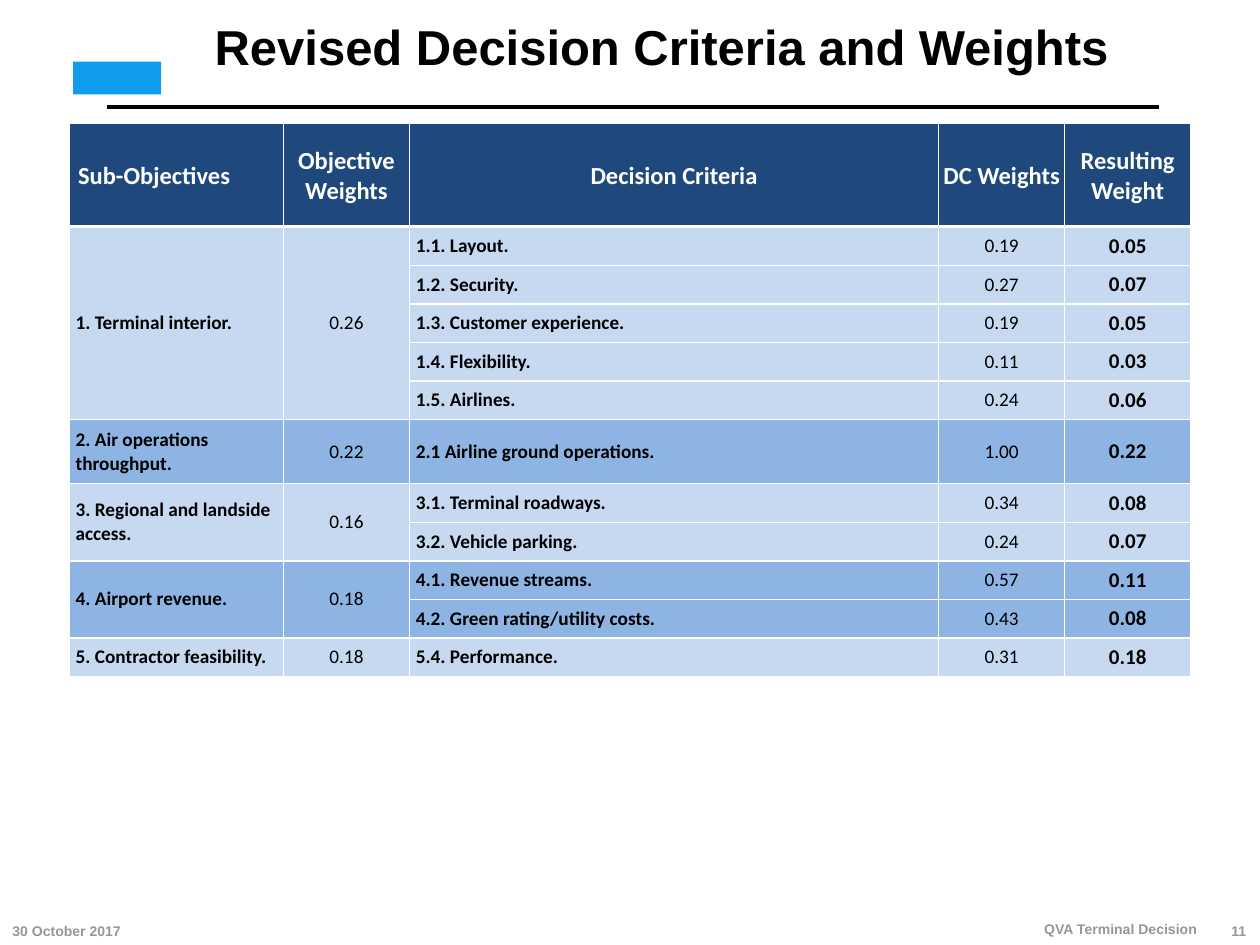
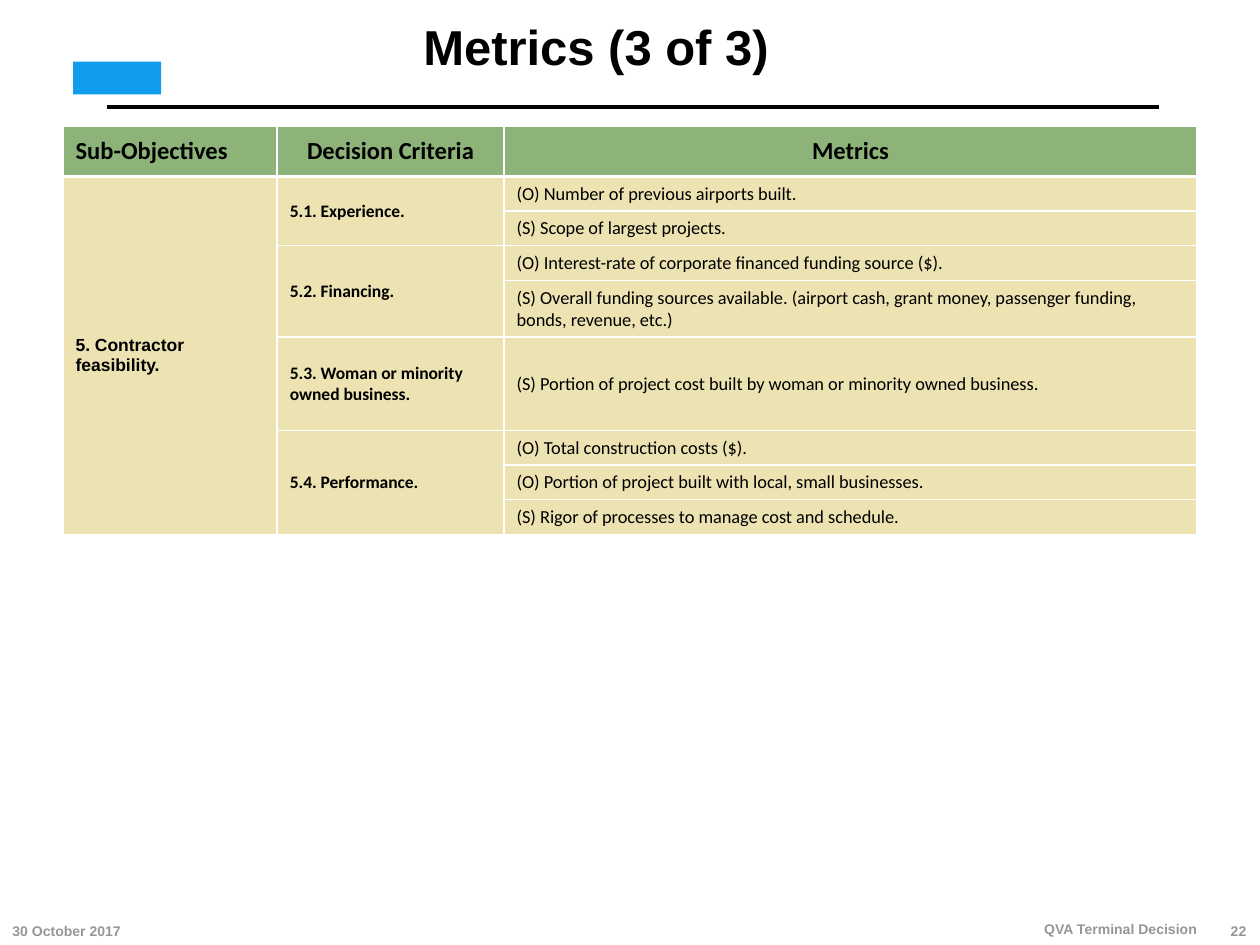
from dataclasses import dataclass

from lxml.etree import SubElement
from pptx import Presentation
from pptx.dml.color import RGBColor
from pptx.enum.shapes import MSO_CONNECTOR, MSO_SHAPE
from pptx.enum.text import MSO_ANCHOR as Anchor, MSO_AUTO_SIZE as AutoSize, PP_ALIGN as Align
from pptx.oxml.ns import qn
from pptx.util import Inches, Pt

BLACK, WHITE, GREY = "000000", "FFFFFF", "969696"
EMBLEM_BLUE, NAVY, PALE_BLUE, MID_BLUE = "0F9DEC", "1F497D", "C6D9F1", "8EB4E3"
GREEN, SAND = "8EB379", "ECE2B2"
PLAIN_ROW = 3.06 / 10
TITLE_ONLY = 5


@dataclass(frozen=True)
class Column:
    """Heading, width and body text style of a table column."""
    heading: str
    width: float
    size: float
    bold: bool = False
    centered: bool = False
    font: str = "Calibri"


@dataclass(frozen=True)
class TableDesign:
    """Everything needed to draw one table; None in a row continues the cell above."""
    left: float
    top: float
    columns: tuple[Column, ...]
    row_heights: tuple[float, ...]
    rows: tuple[tuple, ...]
    header_fill: str
    header_color: str
    group_fills: tuple[str, ...]
    header_margins: tuple[float, float, float, float]
    body_margins: tuple[float, float, float, float]
    first_heading_margin: float


@dataclass(frozen=True)
class FooterItem:
    """Position and alignment of one footer text."""
    left: float
    top: float
    width: float
    align: Align


@dataclass(frozen=True)
class SlideContent:
    """Title, page number and table of one slide."""
    title: str
    title_left: float
    page: str
    table: TableDesign


DATE = FooterItem(0, 7.25, 2, Align.LEFT)
PAGE = FooterItem(9.59, 7.25, 0.4, Align.RIGHT)
SUBJECT = FooterItem(6.6, 7.24, 3, Align.RIGHT)

WEIGHTS = TableDesign(
    left=0.55, top=0.98,
    columns=(
        Column("Sub-Objectives", 1.7, 11, bold=True),
        Column("Objective Weights", 1, 11, centered=True),
        Column("Decision Criteria", 4.2, 11, bold=True),
        Column("DC Weights", 1, 11, centered=True),
        Column("Resulting Weight", 1, 12, bold=True, centered=True),
    ),
    row_heights=(0.82, *[PLAIN_ROW] * 5, 0.51, *[PLAIN_ROW] * 5),
    rows=(
        ("1. Terminal interior.", "0.26", "1.1. Layout.", "0.19", "0.05"),
        (None, None, "1.2. Security.", "0.27", "0.07"),
        (None, None, "1.3. Customer experience.", "0.19", "0.05"),
        (None, None, "1.4. Flexibility.", "0.11", "0.03"),
        (None, None, "1.5. Airlines.", "0.24", "0.06"),
        ("2. Air operations throughput.", "0.22", "2.1 Airline ground operations.", "1.00", "0.22"),
        ("3. Regional and landside access.", "0.16", "3.1. Terminal roadways.", "0.34", "0.08"),
        (None, None, "3.2. Vehicle parking.", "0.24", "0.07"),
        ("4. Airport revenue.", "0.18", "4.1. Revenue streams.", "0.57", "0.11"),
        (None, None, "4.2. Green rating/utility costs.", "0.43", "0.08"),
        ("5. Contractor feasibility.", "0.18", "5.4. Performance.", "0.31", "0.18"),
    ),
    header_fill=NAVY, header_color=WHITE, group_fills=(PALE_BLUE, MID_BLUE),
    header_margins=(0.01, 0.01, 0.01, 0), body_margins=(0.05, 0.05, 0.05, 0.05),
    first_heading_margin=0.07,
)

METRICS = TableDesign(
    left=0.5, top=1,
    columns=(
        Column("Sub-Objectives", 1.7, 10, bold=True, font="Arial"),
        Column("Decision Criteria", 1.8, 10, bold=True),
        Column("Metrics", 5.5, 10.5),
    ),
    row_heights=(0.4, *[0.27] * 3, 0.45, 0.74, *[0.27] * 3),
    rows=(
        ("5. Contractor feasibility.", "5.1. Experience.", "(O) Number of previous airports built."),
        (None, None, "(S) Scope of largest projects."),
        (None, "5.2. Financing.", "(O) Interest-rate of corporate financed funding source ($)."),
        (None, None, "(S) Overall funding sources available. (airport cash, grant money, "
                     "passenger funding, bonds, revenue, etc.)"),
        (None, "5.3. Woman or minority owned business.",
         "(S) Portion of project cost built by woman or minority owned business."),
        (None, "5.4. Performance.", "(O) Total construction costs ($)."),
        (None, None, "(O) Portion of project built with local, small businesses."),
        (None, None, "(S) Rigor of processes to manage cost and schedule."),
    ),
    header_fill=GREEN, header_color=BLACK, group_fills=(SAND,),
    header_margins=(0.1, 0.05, 0.1, 0.05), body_margins=(0.1, 0.05, 0.1, 0.05),
    first_heading_margin=0.1,
)

SLIDES = (
    SlideContent("Revised Decision Criteria and Weights", 1.25, "11", WEIGHTS),
    SlideContent("Metrics (3 of 3)", 0.73, "22", METRICS),
)


def rgb(color: str) -> RGBColor:
    """Turn a hex string into a colour."""
    return RGBColor.from_string(color)


def place(shape, left: float, top: float, width: float, height: float) -> None:
    """Move and size a shape, in inches."""
    shape.left, shape.top = Inches(left), Inches(top)
    shape.width, shape.height = Inches(width), Inches(height)


def set_margins(target, margins: tuple[float, float, float, float]) -> None:
    """Set left, top, right and bottom margins of a text frame or cell."""
    for side, margin in zip(("left", "top", "right", "bottom"), margins):
        setattr(target, f"margin_{side}", Inches(margin))


def write(frame, text: str, size: float, color: str, align: Align,
          font: str = "Arial", bold: bool = True) -> None:
    """Write one formatted paragraph."""
    frame.text = text
    paragraph = frame.paragraphs[0]
    paragraph.alignment = align
    paragraph.font.name, paragraph.font.size = font, Pt(size)
    paragraph.font.bold = bold
    paragraph.font.color.rgb = rgb(color)


def add_title(slide, text: str, left: float) -> None:
    """Fill and format the title placeholder."""
    title = slide.shapes.title
    place(title, left, 0, 8, 0.78)
    frame = title.text_frame
    set_margins(frame, (0, 0, 0, 0))
    frame.auto_size = AutoSize.NONE
    frame.vertical_anchor = Anchor.MIDDLE
    write(frame, text, 28, BLACK, Align.CENTER)
    frame.paragraphs[0].line_spacing = 0.9


def add_header_band(slide) -> None:
    """Draw the rule under the title and the plain emblem block."""
    rule = slide.shapes.add_connector(
        MSO_CONNECTOR.STRAIGHT, Inches(0.85), Inches(0.85), Inches(9.2), Inches(0.85))
    rule.line.color.rgb = rgb(BLACK)
    rule.line.width = Pt(2.5)
    SubElement(rule._element.spPr, qn("a:effectLst"))
    emblem = slide.shapes.add_shape(
        MSO_SHAPE.RECTANGLE, Inches(0.58), Inches(0.49), Inches(0.7), Inches(0.26))
    emblem.shadow.inherit = False
    emblem.fill.solid()
    emblem.fill.fore_color.rgb = rgb(EMBLEM_BLUE)
    emblem.line.fill.background()


def add_footer(slide, item: FooterItem, text: str) -> None:
    """Add one footer text."""
    box = slide.shapes.add_textbox(
        Inches(item.left), Inches(item.top), Inches(item.width), Inches(0.25))
    frame = box.text_frame
    frame.word_wrap = True
    frame.vertical_anchor = Anchor.BOTTOM
    write(frame, text, 8, GREY, item.align)


def style_cell(cell, fill: str, top_width: float, bottom_width: float) -> None:
    """Give a cell white borders and a solid fill."""
    properties = cell._tc.get_or_add_tcPr()
    for side, width in (("L", 1), ("R", 1), ("T", top_width), ("B", bottom_width)):
        border = SubElement(properties, qn(f"a:ln{side}"), w=str(Pt(width)))
        SubElement(SubElement(border, qn("a:solidFill")), qn("a:srgbClr"), val=WHITE)
    cell.fill.solid()
    cell.fill.fore_color.rgb = rgb(fill)
    cell.vertical_anchor = Anchor.MIDDLE


def add_heading_row(table, design: TableDesign) -> None:
    """Fill and format the heading row."""
    for index, column in enumerate(design.columns):
        cell = table.cell(0, index)
        style_cell(cell, design.header_fill, 1, 2.25)
        set_margins(cell, design.header_margins)
        align = Align.CENTER if index else Align.LEFT
        write(cell.text_frame, column.heading, 14, design.header_color, align, "Calibri")
    table.cell(0, 0).margin_left = Inches(design.first_heading_margin)


def add_body_rows(table, design: TableDesign) -> None:
    """Fill the body, one fill per group, and merge continued cells."""
    group = -1
    for row_index, row in enumerate(design.rows, start=1):
        group += row[0] is not None
        fill = design.group_fills[group % len(design.group_fills)]
        for index, (column, text) in enumerate(zip(design.columns, row)):
            cell = table.cell(row_index, index)
            style_cell(cell, fill, 2.25 if row_index == 1 else 1, 1)
            set_margins(cell, design.body_margins)
            if text is not None:
                align = Align.CENTER if column.centered else Align.LEFT
                write(cell.text_frame, text, column.size, BLACK, align, column.font, column.bold)
    for index in range(len(design.columns)):
        starts = [number for number, row in enumerate(design.rows, start=1) if row[index] is not None]
        for start, following in zip(starts, starts[1:] + [len(design.rows) + 1]):
            if following - start > 1:
                table.cell(start, index).merge(table.cell(following - 1, index))


def add_criteria_table(slide, design: TableDesign) -> None:
    """Build a table from its design."""
    table = slide.shapes.add_table(
        len(design.rows) + 1, len(design.columns), Inches(design.left), Inches(design.top),
        Inches(sum(column.width for column in design.columns)),
        Inches(sum(design.row_heights))).table
    table.horz_banding = False
    for table_column, column in zip(table.columns, design.columns):
        table_column.width = Inches(column.width)
    for table_row, height in zip(table.rows, design.row_heights):
        table_row.height = Inches(height)
    add_heading_row(table, design)
    add_body_rows(table, design)


def main() -> None:
    """Build and save the presentation."""
    presentation = Presentation()
    presentation.slide_width, presentation.slide_height = Inches(10), Inches(7.5)
    for content in SLIDES:
        slide = presentation.slides.add_slide(presentation.slide_layouts[TITLE_ONLY])
        add_header_band(slide)
        add_title(slide, content.title, content.title_left)
        add_footer(slide, DATE, "30 October 2017")
        add_footer(slide, PAGE, content.page)
        add_footer(slide, SUBJECT, "QVA Terminal Decision")
        add_criteria_table(slide, content.table)
    presentation.save("out.pptx")


if __name__ == "__main__":
    main()
